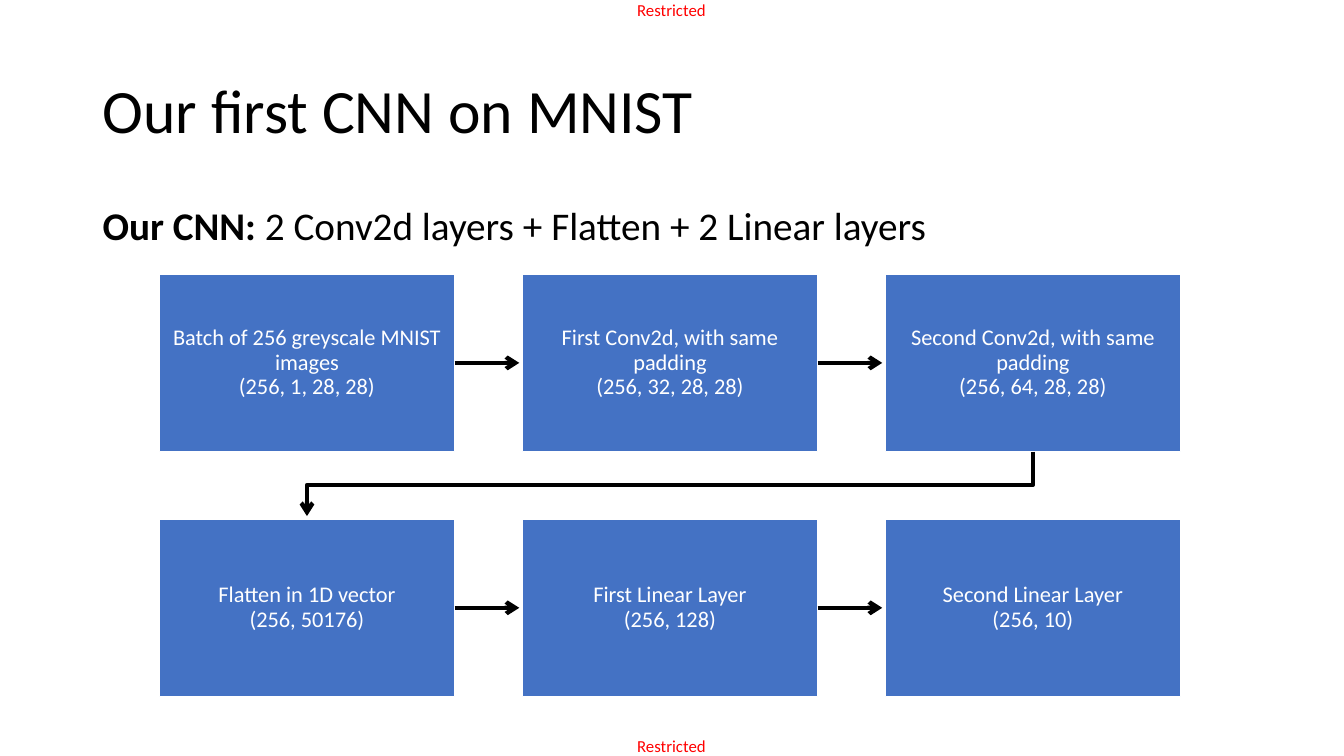
"""Build the slide that shows the layers of a first CNN on MNIST."""
from copy import deepcopy
from dataclasses import dataclass

from lxml.etree import SubElement
from pptx import Presentation
from pptx.dml.color import RGBColor
from pptx.enum.shapes import MSO_CONNECTOR, MSO_SHAPE
from pptx.enum.text import MSO_ANCHOR, PP_ALIGN
from pptx.oxml.ns import qn
from pptx.util import Inches, Pt


@dataclass(frozen=True)
class Theme:
    font: str = "Calibri"
    text: RGBColor = RGBColor(0x00, 0x00, 0x00)
    label: RGBColor = RGBColor(0xFF, 0x00, 0x00)
    box: RGBColor = RGBColor(0x44, 0x72, 0xC4)
    light: RGBColor = RGBColor(0xFF, 0xFF, 0xFF)
    title_size: int = 44
    body_size: int = 28
    box_size: int = 16
    label_size: int = 12
    arrow_width: int = 3
    box_line_width: int = 1


@dataclass(frozen=True)
class TextBlock:
    left: float
    top: float
    width: float
    height: float
    runs: tuple
    size: int
    color: RGBColor
    frame: dict
    paragraph: dict


@dataclass(frozen=True)
class Layer:
    name: str
    shape: str


THEME = Theme()
COLUMNS = 3
GRID_LEFT, GRID_TOP = 1.58, 2.72
BOX_WIDTH, BOX_HEIGHT = 2.93, 1.76
COLUMN_STEP, ROW_STEP = 3.6, 2.43
ARROW_LENGTH = 0.64
BEND_DROP = 0.33
MARGINS = ("margin_left", "margin_top", "margin_right", "margin_bottom")

LABEL_FRAME = dict.fromkeys(MARGINS, 0) | {"word_wrap": False}
BOX_FRAME = dict.fromkeys(MARGINS, Inches(0.12)) | {
    "word_wrap": True, "vertical_anchor": MSO_ANCHOR.MIDDLE}
BOX_PARAGRAPH = {"alignment": PP_ALIGN.CENTER, "line_spacing": 0.9}

TEXT_BLOCKS = [
    *(TextBlock(6.32, top, 0.73, 0.2, (("Restricted", False),), THEME.label_size,
                THEME.label, LABEL_FRAME, {}) for top in (0, 7.3)),
    TextBlock(0.92, 0.4, 11.5, 1.45, (("Our first CNN on MNIST", False),),
              THEME.title_size, THEME.text,
              {"word_wrap": True, "vertical_anchor": MSO_ANCHOR.MIDDLE},
              {"line_spacing": 0.9}),
    TextBlock(0.92, 2, 11.5, 4.76,
              (("Our CNN: ", True), ("2 Conv2d layers + Flatten + 2 Linear layers", False)),
              THEME.body_size, THEME.text, {"word_wrap": True},
              {"line_spacing": 0.9, "space_before": Pt(10)}),
]

LAYERS = [
    Layer("Batch of 256 greyscale MNIST images", "(256, 1, 28, 28)"),
    Layer("First Conv2d, with same padding", "(256, 32, 28, 28)"),
    Layer("Second Conv2d, with same padding", "(256, 64, 28, 28)"),
    Layer("Flatten in 1D vector", "(256, 50176)"),
    Layer("First Linear Layer", "(256, 128)"),
    Layer("Second Linear Layer", "(256, 10)"),
]


def apply_format(target, values: dict) -> None:
    """Set each named attribute on the target."""
    for name, value in values.items():
        setattr(target, name, value)


def add_run(paragraph, text: str, size: int, color: RGBColor, bold: bool = False):
    """Add one formatted run to a paragraph."""
    run = paragraph.add_run()
    run.text = text
    apply_format(run.font, {"name": THEME.font, "size": Pt(size), "bold": bold})
    run.font.color.rgb = color
    return run


def add_text_block(slide, block: TextBlock) -> None:
    """Draw a text box with its runs."""
    box = slide.shapes.add_textbox(Inches(block.left), Inches(block.top),
                                   Inches(block.width), Inches(block.height))
    apply_format(box.text_frame, block.frame)
    paragraph = box.text_frame.paragraphs[0]
    apply_format(paragraph, block.paragraph)
    for text, bold in block.runs:
        add_run(paragraph, text, block.size, block.color, bold)


def add_layer(slide, layer: Layer, left: float, top: float):
    """Draw a layer box with its name and output shape."""
    box = slide.shapes.add_shape(MSO_SHAPE.RECTANGLE, Inches(left), Inches(top),
                                 Inches(BOX_WIDTH), Inches(BOX_HEIGHT))
    box.shadow.inherit = False
    box.fill.solid()
    box.fill.fore_color.rgb = THEME.box
    box.line.color.rgb = THEME.light
    box.line.width = Pt(THEME.box_line_width)
    apply_format(box.text_frame, BOX_FRAME)
    paragraph = box.text_frame.paragraphs[0]
    apply_format(paragraph, BOX_PARAGRAPH)
    name = add_run(paragraph, layer.name, THEME.box_size, THEME.light)
    paragraph.add_line_break()
    line_break = paragraph._p.find(qn("a:br"))
    line_break.append(deepcopy(name._r.find(qn("a:rPr"))))
    add_run(paragraph, layer.shape, THEME.box_size, THEME.light)
    return box


def style_arrow(arrow) -> None:
    """Give a line its colour, width and arrowhead."""
    arrow.line.color.rgb = THEME.text
    arrow.line.width = Pt(THEME.arrow_width)
    SubElement(arrow.line._get_or_add_ln(), qn("a:tailEnd"), type="arrow")


def add_row_arrow(slide, box) -> None:
    """Draw an arrow from the right side of a box towards the next one."""
    start, middle = box.left + box.width, box.top + box.height // 2
    arrow = slide.shapes.add_connector(MSO_CONNECTOR.STRAIGHT, start, middle,
                                       start + Inches(ARROW_LENGTH), middle)
    arrow.begin_connect(box, 3)
    style_arrow(arrow)
    SubElement(arrow._element.spPr, qn("a:effectLst"))


def add_bent_arrow(slide, box) -> None:
    """Draw the arrow from the end of a row to the start of the next one."""
    start_x, start_y = box.left + box.width // 2, box.top + box.height
    end_x = start_x - Inches(COLUMN_STEP * (COLUMNS - 1))
    bend_y = start_y + Inches(BEND_DROP)
    builder = slide.shapes.build_freeform(start_x, start_y)
    builder.add_line_segments([(start_x, bend_y), (end_x, bend_y),
                               (end_x, start_y + Inches(ARROW_LENGTH))], close=False)
    arrow = builder.convert_to_shape()
    arrow.shadow.inherit = False
    arrow.fill.background()
    style_arrow(arrow)


def main() -> None:
    """Build and save the presentation."""
    presentation = Presentation()
    apply_format(presentation, {"slide_width": Inches(13.33), "slide_height": Inches(7.5)})
    slide = presentation.slides.add_slide(presentation.slide_layouts[6])
    for block in TEXT_BLOCKS:
        add_text_block(slide, block)
    for index, layer in enumerate(LAYERS):
        row, column = divmod(index, COLUMNS)
        box = add_layer(slide, layer, GRID_LEFT + column * COLUMN_STEP,
                        GRID_TOP + row * ROW_STEP)
        if column < COLUMNS - 1:
            add_row_arrow(slide, box)
        elif index < len(LAYERS) - 1:
            add_bent_arrow(slide, box)
    presentation.save("out.pptx")


if __name__ == "__main__":
    main()
